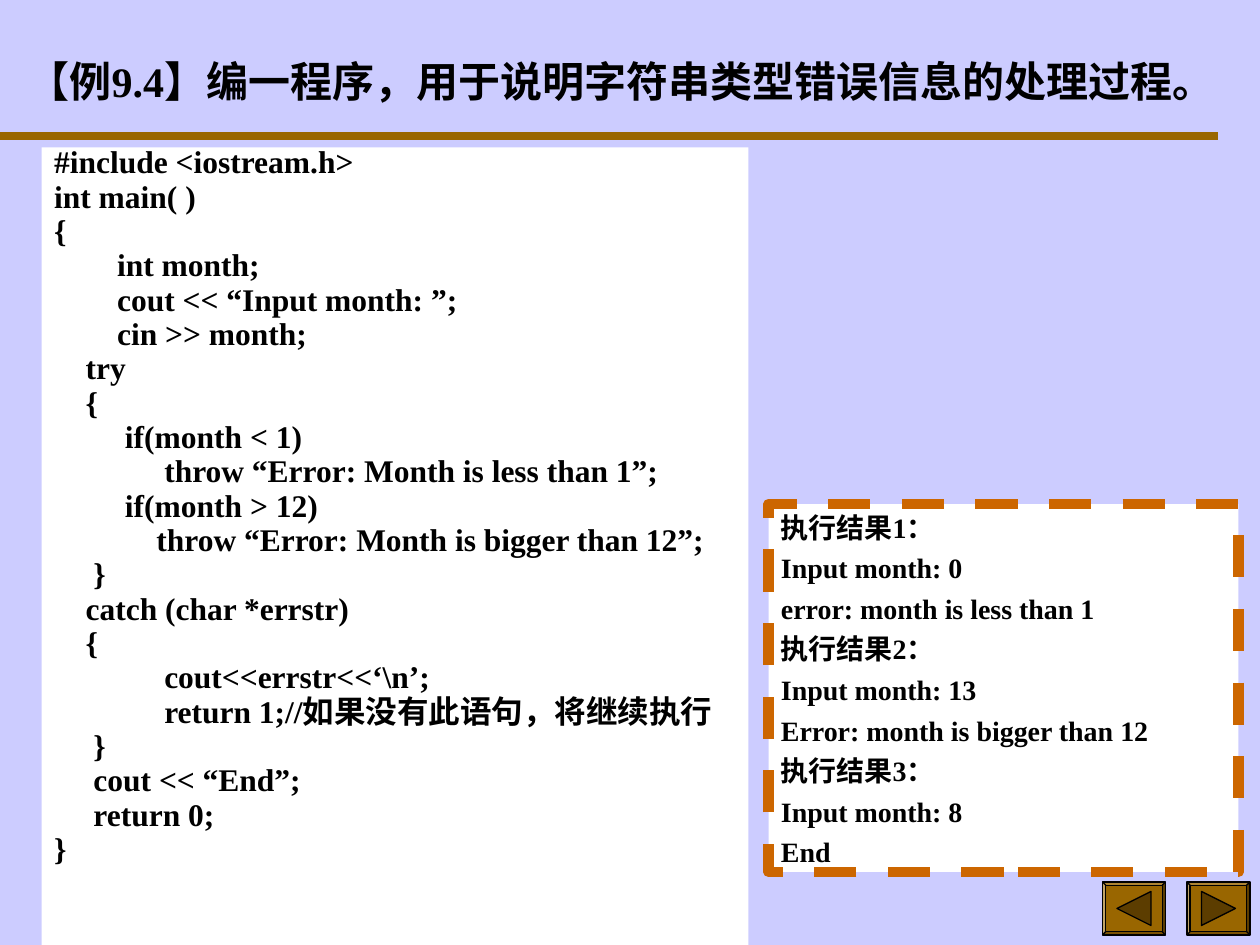
"""Build the slide on handling string-type exceptions in C++."""
from lxml import etree
from pptx import Presentation
from pptx import util as u
from pptx.dml.color import RGBColor
from pptx.enum import dml, shapes, text
from pptx.oxml.ns import qn

CODE = r"""#include <iostream.h>
int main( )
{
        int month;
        cout << “Input month: ”;
        cin >> month;
    try
    {
         if(month < 1)
              throw “Error: Month is less than 1”;
         if(month > 12)
             throw “Error: Month is bigger than 12”;
     }
    catch (char *errstr)
    {
              cout<<errstr<<‘\n’;
              return 1;//如果没有此语句，将继续执行
     }
     cout << “End”;
     return 0;
}"""
RESULTS = """执行结果1：
Input month: 0
error: month is less than 1
执行结果2：
Input month: 13
Error: month is bigger than 12
执行结果3：
Input month: 8
End"""


def paint(fmt, color):
    """Give a fill a solid hex colour."""
    fmt.solid()
    fmt.fore_color.rgb = RGBColor.from_string(color)


def write(sp, content, size, pitch, before=0, indent=0):
    """Fill a shape with bold lines of text at a fixed line pitch."""
    tf = sp.text_frame
    tf.text = content
    tf.word_wrap = True
    tf.auto_size = text.MSO_AUTO_SIZE.NONE
    for i, p in enumerate(tf.paragraphs):
        p.alignment = text.PP_ALIGN.LEFT
        p.line_spacing = u.Pt(pitch)
        p.space_before = u.Pt(before if i else 0)
        pPr = p._p.get_or_add_pPr()
        pPr.set("marL", str(u.Inches(indent)))
        pPr.set("indent", str(-u.Inches(indent)))
        etree.SubElement(pPr, qn("a:buNone"))
        for r in p.runs:
            r.font.size, r.font.bold = u.Pt(size), True
            paint(r.font.fill, "000000")
            r.font.name = "Times New Roman"
            ea = etree.SubElement(r._r.get_or_add_rPr(), qn("a:ea"))
            ea.set("typeface", "Noto Sans CJK SC")


prs = Presentation()
prs.slide_width, prs.slide_height = u.Inches(10), u.Inches(7.5)
s = prs.slides.add_slide(prs.slide_layouts[1])
paint(s.background.fill, "CCCCFF")

title, body = s.placeholders
title.left, title.top, title.width, title.height = map(u.Inches, (0.12, 0.35, 9.75, 0.59))
title.text_frame.vertical_anchor = text.MSO_ANCHOR.MIDDLE
write(title, "【例9.4】编一程序，用于说明字符串类型错误信息的处理过程。", 24, 28)

body.left, body.top, body.width, body.height = map(u.Inches, (0.33, 1.17, 5.61, 6.33))
paint(body.fill, "FFFFFF")
body.text_frame.vertical_anchor = text.MSO_ANCHOR.TOP
write(body, CODE, 18, 15.1, 4.5, 0.38)

for left, turn in ((9.42, 90), (8.75, -90)):
    button = s.shapes.add_shape(shapes.MSO_SHAPE.BEVEL, *map(u.Inches, (left, 7, 0.5, 0.42)))
    button.adjustments[0] = 0.06
    arrow = s.shapes.add_shape(
        shapes.MSO_SHAPE.ISOSCELES_TRIANGLE, *map(u.Inches, (left + 0.115, 7.075, 0.27, 0.27)))
    arrow.rotation = turn
    for sp, color in ((button, "996600"), (arrow, "5C3D00")):
        sp.shadow.inherit = False
        paint(sp.fill, color)
        paint(sp.line.fill, "000000")
        sp.line.width = u.Pt(0.75)

rule = s.shapes.add_connector(
    shapes.MSO_CONNECTOR.STRAIGHT, *map(u.Inches, (0, 1.08, 9.67, 1.08)))
paint(rule.line.fill, "996600")
rule.line.width = u.Pt(4.5)
etree.SubElement(rule._element.spPr, qn("a:effectLst"))

box = s.shapes.add_shape(shapes.MSO_SHAPE.RECTANGLE, *map(u.Inches, (6.1, 4, 3.73, 2.92)))
box.shadow.inherit = False
paint(box.fill, "FFFFFF")
paint(box.line.fill, "CC6600")
box.line.width = u.Pt(6)
box.line.dash_style = dml.MSO_LINE.DASH
box.text_frame.vertical_anchor = text.MSO_ANCHOR.TOP
write(box, RESULTS, 16, 19.2, 4)

prs.save("out.pptx")
